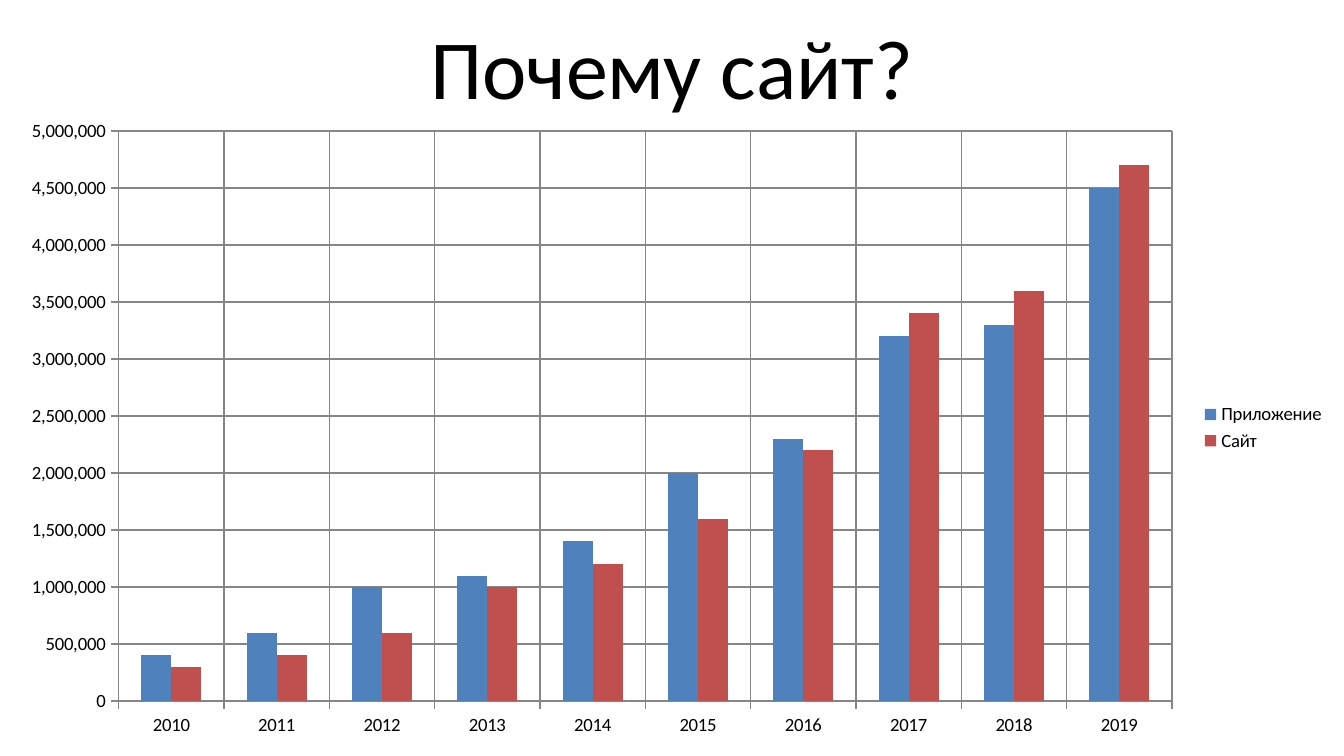
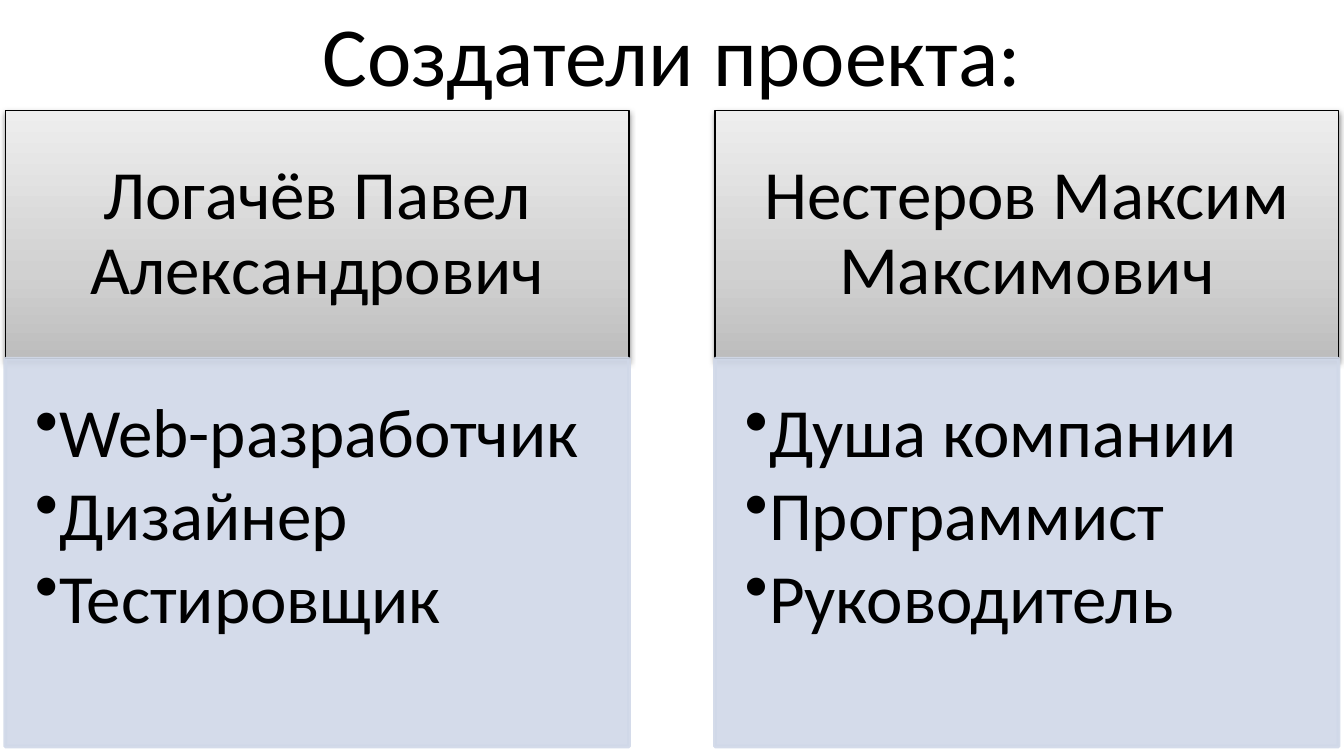
import copy
import dataclasses

import pptx
import pptx.chart.data
import pptx.dml.color
import pptx.enum.chart
import pptx.enum.shapes
import pptx.enum.text
import pptx.oxml
import pptx.oxml.ns
import pptx.util

SCALE = 4572  # EMU in one px, 200 px to the inch
FONT = "Calibri"
BLACK, GRID, PALE = "000000", "868686", "D0D8E8"
FADE = ((0, "BDBDBD"), (0.35, "D1D1D1"), (1, "EEEEEE"))
EDGE, WIDE = 8, 1984
TOP, HEAD, BODY = 164, 370, 577
CARD = 928
ANCHOR = pptx.enum.text.MSO_ANCHOR
ALIGN = pptx.enum.text.PP_ALIGN


@dataclasses.dataclass
class Person:
    name: str
    roles: tuple[str, ...]


@dataclasses.dataclass
class Series:
    name: str
    color: str
    values: tuple[int, ...]


@dataclasses.dataclass
class Box:
    left: int
    top: int
    width: int
    height: int

    def emu(self) -> list[pptx.util.Emu]:
        return [px(n) for n in dataclasses.astuple(self)]


PEOPLE = (
    Person("Логачёв Павел Александрович",
           ("Web-разработчик", "Дизайнер", "Тестировщик")),
    Person("Нестеров Максим Максимович",
           ("Душа компании", "Программист", "Руководитель")),
)
# Values in hundreds of thousands
SERIES = (
    Series("Приложение", "4F81BD", (4, 6, 10, 11, 14, 20, 23, 32, 33, 45)),
    Series("Сайт", "C0504D", (3, 4, 6, 10, 12, 16, 22, 34, 36, 47)),
)
UNIT = 100_000
YEARS = range(2010, 2020)


def px(n: int) -> pptx.util.Emu:
    return pptx.util.Emu(n * SCALE)


def rgb(code: str) -> pptx.dml.color.RGBColor:
    return pptx.dml.color.RGBColor.from_string(code)


def node(xml: str):
    """Parse one DrawingML or chart element."""
    spaces = pptx.oxml.ns.nsdecls("a", "c")
    head, mark, tail = xml.partition(" ")
    return pptx.oxml.parse_xml(f"{head} {spaces}{mark}{tail}")


def write(shape, text: str, size: int, align, anchor,
          pads: tuple[int, int, int, int] = (20, 10, 20, 10)) -> None:
    """Fill a shape with text; pads run left, top, right, bottom."""
    frame = shape.text_frame
    frame.text = text
    frame.word_wrap = True
    frame.vertical_anchor = anchor
    (frame.margin_left, frame.margin_top,
     frame.margin_right, frame.margin_bottom) = map(px, pads)
    for para in frame.paragraphs:
        para.alignment = align
        for run in para.runs:
            run.font.name = FONT
            run.font.size = pptx.util.Pt(size)
            run.font.color.rgb = rgb(BLACK)


def title(slide, text: str, height: int) -> None:
    box = slide.shapes.add_textbox(*Box(EDGE, 12, WIDE, height).emu())
    write(box, text, 45, ALIGN.CENTER, ANCHOR.MIDDLE)


def block(slide, box: Box, line: str, weight: float):
    """Add a bare rectangle with a border and no shadow."""
    kind = pptx.enum.shapes.MSO_SHAPE.RECTANGLE
    shape = slide.shapes.add_shape(kind, *box.emu())
    shape.shadow.inherit = False
    shape.line.color.rgb = rgb(line)
    shape.line.width = pptx.util.Pt(weight)
    return shape


def header(slide, box: Box, name: str) -> None:
    shape = block(slide, box, BLACK, 0.75)
    shape.fill.gradient()
    shape.fill.gradient_angle = 90
    props = shape._element.spPr
    stops = props.find(".//" + pptx.oxml.ns.qn("a:gsLst"))
    stops.append(copy.deepcopy(stops[-1]))
    for stop, (place, color) in zip(shape.fill.gradient_stops, FADE):
        stop.color.rgb = rgb(color)
        stop.position = place
    props.find(pptx.oxml.ns.qn("a:effectLst")).append(node(
        '<a:outerShdw blurRad="39400" dist="20300" dir="5400000" rotWithShape="0">'
        f'<a:srgbClr val="{BLACK}"><a:alpha val="38000"/></a:srgbClr>'
        '</a:outerShdw>'))
    write(shape, name, 37, ALIGN.CENTER, ANCHOR.MIDDLE, (58, 32, 58, 32))
    shape.text_frame.paragraphs[0].line_spacing = 0.9


def duties(slide, box: Box, roles: tuple[str, ...]) -> None:
    shape = block(slide, box, PALE, 2)
    shape.fill.solid()
    shape.fill.fore_color.rgb = rgb(PALE)
    for color in shape._element.spPr.iter(pptx.oxml.ns.qn("a:srgbClr")):
        color.append(node('<a:alpha val="90000"/>'))
    write(shape, "\n".join(roles), 37, ALIGN.LEFT, ANCHOR.TOP,
          (44, 44, 58, 64))
    for para in shape.text_frame.paragraphs:
        props = para._p.get_or_add_pPr()
        props.set("marL", str(px(36)))
        props.set("indent", str(px(-36)))
        props.append(node('<a:buChar char="•"/>'))


def graph(slide, box: Box) -> None:
    data = pptx.chart.data.CategoryChartData(number_format="#,##0")
    data.categories = [str(year) for year in YEARS]
    for item in SERIES:
        data.add_series(item.name, [n * UNIT for n in item.values])
    kind = pptx.enum.chart.XL_CHART_TYPE.COLUMN_CLUSTERED
    chart = slide.shapes.add_chart(kind, *box.emu(), data).chart
    chart.has_title = False
    chart.font.name = FONT
    chart.font.size = pptx.util.Pt(10)
    chart.font.color.rgb = rgb(BLACK)
    chart.has_legend = True
    chart.legend.position = pptx.enum.chart.XL_LEGEND_POSITION.RIGHT
    chart.legend.include_in_layout = False

    plot = chart.plots[0]
    plot.gap_width = 150
    plot.vary_by_categories = False
    for bars, item in zip(plot.series, SERIES):
        bars.format.fill.solid()
        bars.format.fill.fore_color.rgb = rgb(item.color)

    for axis in (chart.category_axis, chart.value_axis):
        axis.major_tick_mark = pptx.enum.chart.XL_TICK_MARK.OUTSIDE
        axis.has_major_gridlines = True
        for line in (axis.format.line, axis.major_gridlines.format.line):
            line.color.rgb = rgb(GRID)
            line.width = pptx.util.Pt(0.75)
    scale = chart.value_axis
    scale.minimum_scale, scale.maximum_scale = 0, 50 * UNIT
    scale.major_unit = 5 * UNIT
    scale.tick_labels.number_format = "#,##0"
    scale.tick_labels.number_format_is_linked = False

    area = chart._chartSpace.find(".//" + pptx.oxml.ns.qn("c:plotArea"))
    for old in area.findall(pptx.oxml.ns.qn("c:layout")):
        area.remove(old)
    sizes = "".join(f'<c:{key} val="{val}"/>' for key, val in
                    (("x", 0.085), ("y", 0.037), ("w", 0.79), ("h", 0.89)))
    area.insert(0, node(
        '<c:layout ><c:manualLayout><c:layoutTarget val="inner"/>'
        '<c:xMode val="edge"/><c:yMode val="edge"/>'
        f'{sizes}</c:manualLayout></c:layout>'))


def main() -> None:
    deck = pptx.Presentation()
    deck.slide_width, deck.slide_height = px(2000), px(1125)
    blank = deck.slide_layouts[6]

    slide = deck.slides.add_slide(blank)
    graph(slide, Box(EDGE, 160, WIDE, 953))
    title(slide, "Почему сайт?", 171)

    slide = deck.slides.add_slide(blank)
    title(slide, "Создатели проекта:", 134)
    step = (WIDE - CARD) // (len(PEOPLE) - 1)
    for i, person in enumerate(PEOPLE):
        left = EDGE + i * step
        header(slide, Box(left, TOP, CARD, HEAD), person.name)
        duties(slide, Box(left, TOP + HEAD, CARD, BODY), person.roles)

    deck.save("out.pptx")


if __name__ == "__main__":
    main()
